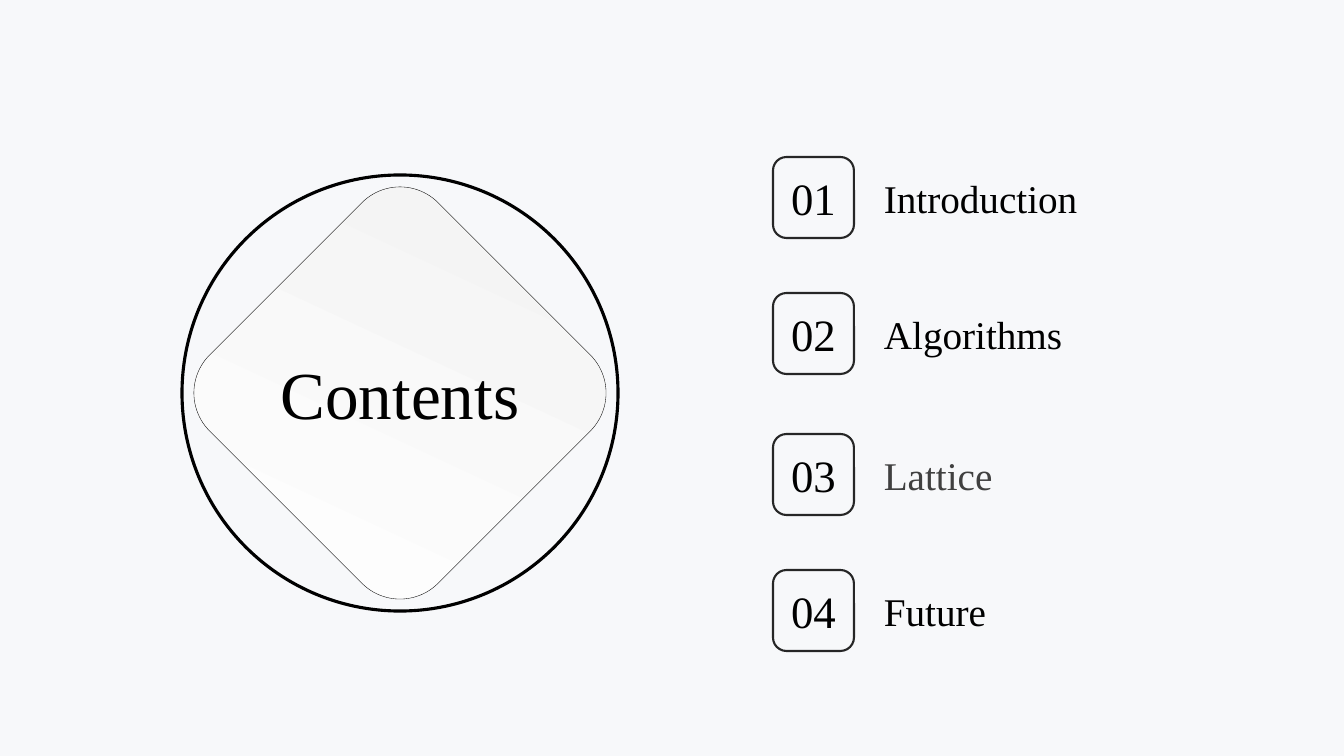
from dataclasses import dataclass

from pptx import Presentation
from pptx.dml.color import RGBColor
from pptx.enum.shapes import MSO_SHAPE as SHAPE
from pptx.enum.text import MSO_ANCHOR as ANCHOR, MSO_AUTO_SIZE as AUTO, PP_ALIGN as ALIGN
from pptx.util import Pt

TITLE = "Contents"
SECTIONS = [
    ("Introduction", 157, 319, "000000"),
    ("Algorithms", 293, 398, "000000"),
    ("Lattice", 434, 432, "404040"),
    ("Future", 570, 319, "000000"),
]


@dataclass(frozen=True)
class Theme:
    font: str = "Times New Roman"
    background: str = "F7F8FA"
    ink: str = "000000"
    box_line: str = "262626"
    gradient: tuple = ("FFFFFF", "F2F2F2")
    title: int = 48
    number: int = 32
    label: int = 28


THEME = Theme()
EMU_PER_PX = 914400 / 100.8
WIDTH, HEIGHT = 1344, 756
CENTER_X, CENTER_Y = 400, 393
CIRCLE, DIAMOND = 436, 323
TITLE_W, TITLE_H = 261, 92
BOX_X, BOX = 773, 81
LABEL_X, LABEL_H = 874, 57


def px(n):
    return round(n * EMU_PER_PX)


def rgb(color):
    return RGBColor.from_string(color)


def centered(w, h):
    return [px(n) for n in (CENTER_X - w / 2, CENTER_Y - h / 2, w, h)]


def outlined(slide, kind, frame, color, width):
    sp = slide.shapes.add_shape(kind, *frame)
    sp.shadow.inherit = False
    sp.fill.background()
    sp.line.color.rgb = rgb(color)
    sp.line.width = Pt(width)
    return sp


def write(sp, text, size, color, align, wrap=False):
    tf = sp.text_frame
    tf.word_wrap = wrap
    tf.auto_size = AUTO.NONE
    tf.vertical_anchor = ANCHOR.MIDDLE
    p = tf.paragraphs[0]
    p.alignment = align
    r = p.add_run()
    r.text = text
    r.font.name = THEME.font
    r.font.size = Pt(size)
    r.font.color.rgb = rgb(color)


def add_emblem(slide):
    diamond = outlined(slide, SHAPE.ROUNDED_RECTANGLE, centered(DIAMOND, DIAMOND), THEME.ink, 0.25)
    diamond.rotation = 45
    diamond.fill.gradient()
    diamond.fill.gradient_angle = 110
    for stop, color in zip(diamond.fill.gradient_stops, THEME.gradient):
        stop.color.rgb = rgb(color)
    outlined(slide, SHAPE.OVAL, centered(CIRCLE, CIRCLE), THEME.ink, 2.25)

    title = slide.shapes.title
    title.left, title.top, title.width, title.height = centered(TITLE_W, TITLE_H)
    write(title, TITLE, THEME.title, THEME.ink, ALIGN.CENTER)
    title.element.getparent().append(title.element)


def add_section(slide, number, name, top, width, color):
    frame = [px(n) for n in (BOX_X, top, BOX, BOX)]
    box = outlined(slide, SHAPE.ROUNDED_RECTANGLE, frame, THEME.box_line, 1.5)
    write(box, f"{number:02d}", THEME.number, THEME.ink, ALIGN.CENTER)
    label_top = top + (BOX - LABEL_H) / 2
    label = slide.shapes.add_textbox(px(LABEL_X), px(label_top), px(width), px(LABEL_H))
    write(label, name, THEME.label, color, ALIGN.LEFT, wrap=True)


def main():
    prs = Presentation()
    prs.slide_width, prs.slide_height = px(WIDTH), px(HEIGHT)
    slide = prs.slides.add_slide(prs.slide_layouts[5])
    slide.background.fill.solid()
    slide.background.fill.fore_color.rgb = rgb(THEME.background)
    add_emblem(slide)
    for number, section in enumerate(SECTIONS, 1):
        add_section(slide, number, *section)
    prs.save("out.pptx")


if __name__ == "__main__":
    main()
